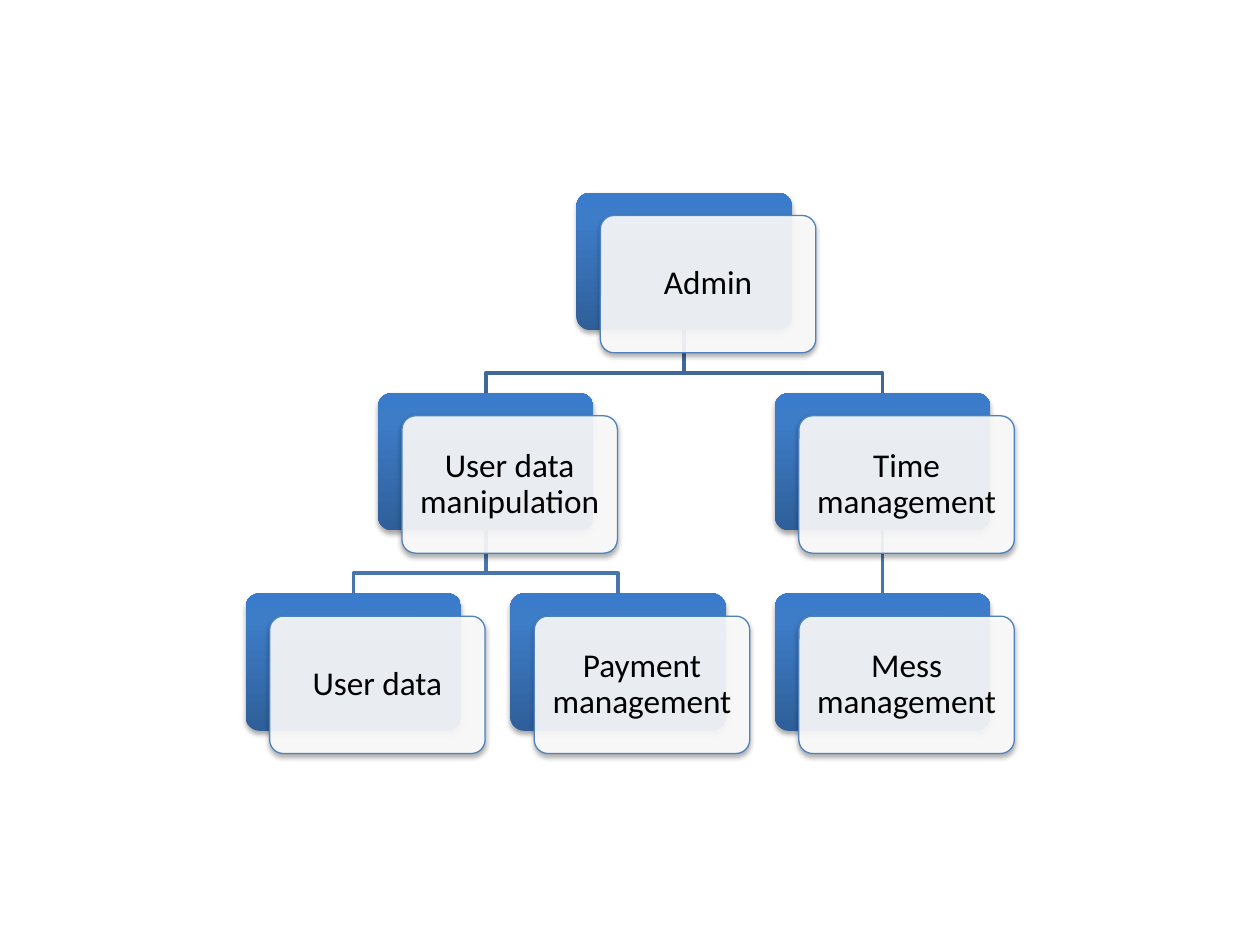
from lxml.etree import SubElement
from pptx import Presentation
from pptx.dml.color import RGBColor
from pptx.enum.shapes import MSO_CONNECTOR as Connector, MSO_SHAPE as Shape
from pptx.enum.text import MSO_ANCHOR as Anchor, PP_ALIGN as Align
from pptx.oxml import parse_xml
from pptx.oxml.ns import nsdecls, qn
from pptx.util import Inches, Pt

CARD_WIDTH, CARD_HEIGHT = 1.71, 1.09
COLUMN_STEP, ROW_GAP = 2.1, 0.5
LEFT, TOP = 1.95, 1.53
OFFSET_X, OFFSET_Y = 0.19, 0.18
BEND = 0.34

CARDS = {
    "Admin": (1.25, 0),
    "User data manipulation": (0.5, 1),
    "User data": (0, 2),
    "Payment management": (1, 2),
    "Time management": (2, 1),
    "Mess management": (2, 2),
}
LINKS = [
    ("Admin", "User data manipulation", "3F6797"),
    ("Admin", "Time management", "3F6797"),
    ("User data manipulation", "User data", "4875AC"),
    ("User data manipulation", "Payment management", "4875AC"),
    ("Time management", "Mess management", "4875AC"),
]


def color(value):
    return RGBColor.from_string(value)


def write_text(shape, text, font="Calibri", size=19, fill="000000", margin=0.08):
    frame = shape.text_frame
    frame.word_wrap = True
    frame.vertical_anchor = Anchor.MIDDLE
    frame.margin_left = frame.margin_right = Inches(margin)
    frame.margin_top = frame.margin_bottom = Inches(margin)
    paragraph = frame.paragraphs[0]
    paragraph.alignment = Align.CENTER
    paragraph.line_spacing = 0.9
    run = paragraph.add_run()
    run.text = text
    run.font.name = font
    run.font.size = Pt(size)
    run.font.color.rgb = color(fill)


class OrganizationChart:
    gradient = ((0, "2F5F99"), (80, "3D7CC7"), (100, "3A7CCB"))
    outline = "4F81BD"

    def __init__(self, slide):
        self.slide = slide

    def rounded_box(self, left, top):
        shape = self.slide.shapes.add_shape(
            Shape.ROUNDED_RECTANGLE,
            Inches(left), Inches(top), Inches(CARD_WIDTH), Inches(CARD_HEIGHT),
        )
        shape.adjustments[0] = 0.1
        return shape

    def add_shadow(self, shape):
        shape.shadow.inherit = False
        effects = shape.element.spPr.find(qn("a:effectLst"))
        shadow = SubElement(
            effects, qn("a:outerShdw"), blurRad=str(Pt(3.1)), dist=str(Pt(1.8)),
            dir="5400000", rotWithShape="0",
        )
        black = SubElement(shadow, qn("a:srgbClr"), val="000000")
        SubElement(black, qn("a:alpha"), val="35000")

    def fill_gradient(self, shape):
        stops = "".join(
            f'<a:gs pos="{position * 1000}"><a:srgbClr val="{value}"/></a:gs>'
            for position, value in self.gradient
        )
        shape.fill.gradient()
        current = shape.element.spPr.find(qn("a:gradFill"))
        current.getparent().replace(current, parse_xml(
            f'<a:gradFill {nsdecls("a")} rotWithShape="1"><a:gsLst>{stops}</a:gsLst>'
            '<a:lin ang="16200000" scaled="0"/></a:gradFill>'
        ))

    def card(self, text, column, row):
        left = LEFT + column * COLUMN_STEP
        top = TOP + row * (CARD_HEIGHT + ROW_GAP)
        back = self.rounded_box(left, top)
        self.fill_gradient(back)
        back.line.fill.background()
        self.add_shadow(back)

        front = self.rounded_box(left + OFFSET_X, top + OFFSET_Y)
        front.fill.solid()
        front.fill.fore_color.rgb = color("FFFFFF")
        white = front.element.spPr.find(qn("a:solidFill")).find(qn("a:srgbClr"))
        SubElement(white, qn("a:alpha"), val="90000")
        front.line.color.rgb = color(self.outline)
        front.line.width = Pt(0.75)
        self.add_shadow(front)
        write_text(front, text)
        return back

    def straight_line(self, parent, child):
        line = self.slide.shapes.add_connector(Connector.STRAIGHT, 0, 0, 0, 0)
        line.begin_connect(parent, 2)
        line.end_connect(child, 0)
        SubElement(line.element.spPr, qn("a:effectLst"))
        return line

    def elbow_line(self, parent, child):
        start_x = parent.left + parent.width // 2
        start_y = parent.top + parent.height
        end_x = child.left + child.width // 2
        bend_y = start_y + Inches(BEND)
        builder = self.slide.shapes.build_freeform(start_x, start_y)
        builder.add_line_segments(
            [(start_x, bend_y), (end_x, bend_y), (end_x, child.top)], close=False
        )
        line = builder.convert_to_shape()
        line.fill.background()
        line.shadow.inherit = False
        return line

    def link(self, parent, child, stroke):
        draw = self.straight_line if parent.left == child.left else self.elbow_line
        line = draw(parent, child)
        line.line.color.rgb = color(stroke)
        line.line.width = Pt(2)
        line.element.getparent().insert(2, line.element)


def main():
    presentation = Presentation()
    presentation.slide_width, presentation.slide_height = Inches(10), Inches(7.5)
    slide = presentation.slides.add_slide(presentation.slide_layouts[6])
    chart = OrganizationChart(slide)
    cards = {text: chart.card(text, *place) for text, place in CARDS.items()}
    for parent, child, stroke in LINKS:
        chart.link(cards[parent], cards[child], stroke)
    presentation.save("out.pptx")


if __name__ == "__main__":
    main()
